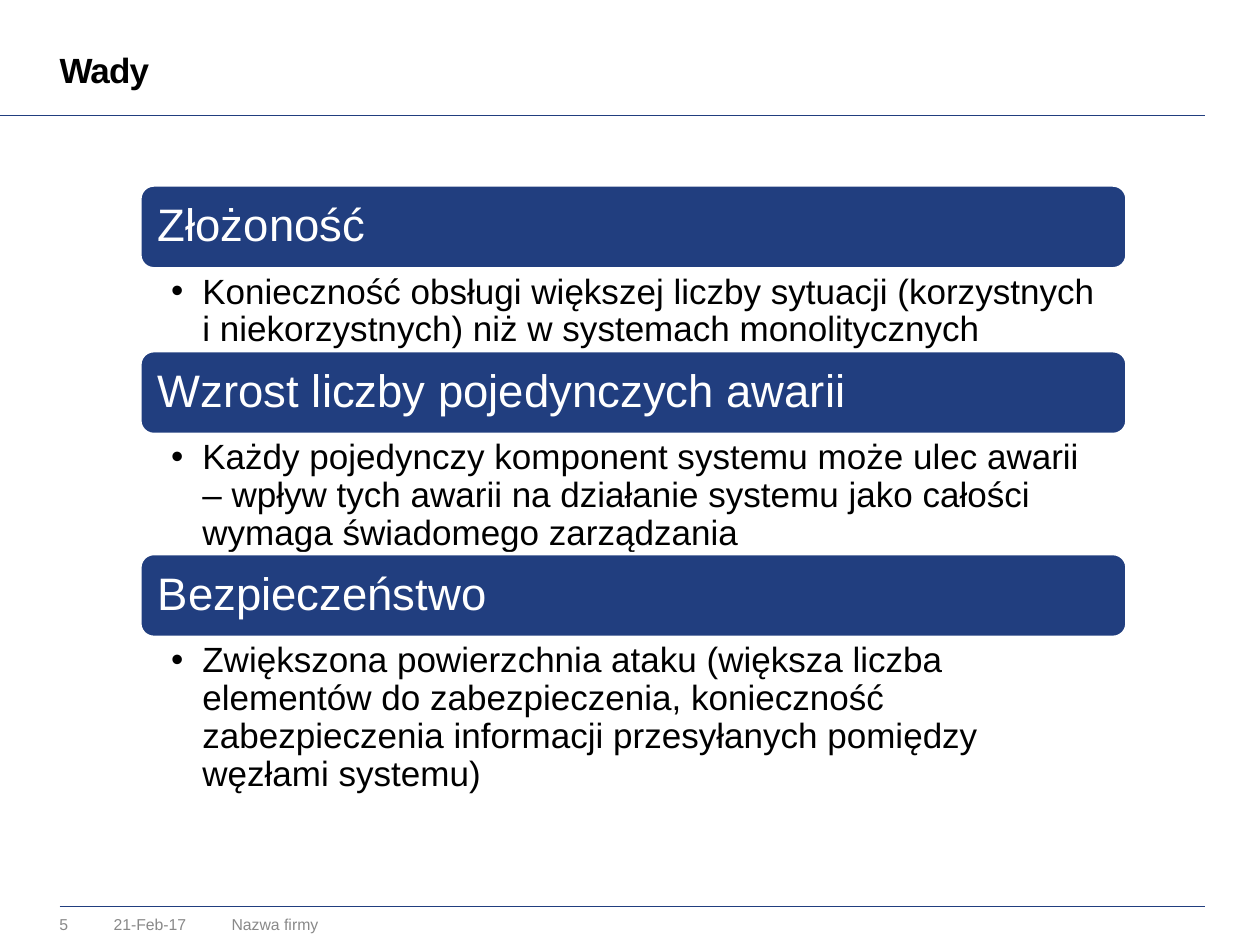
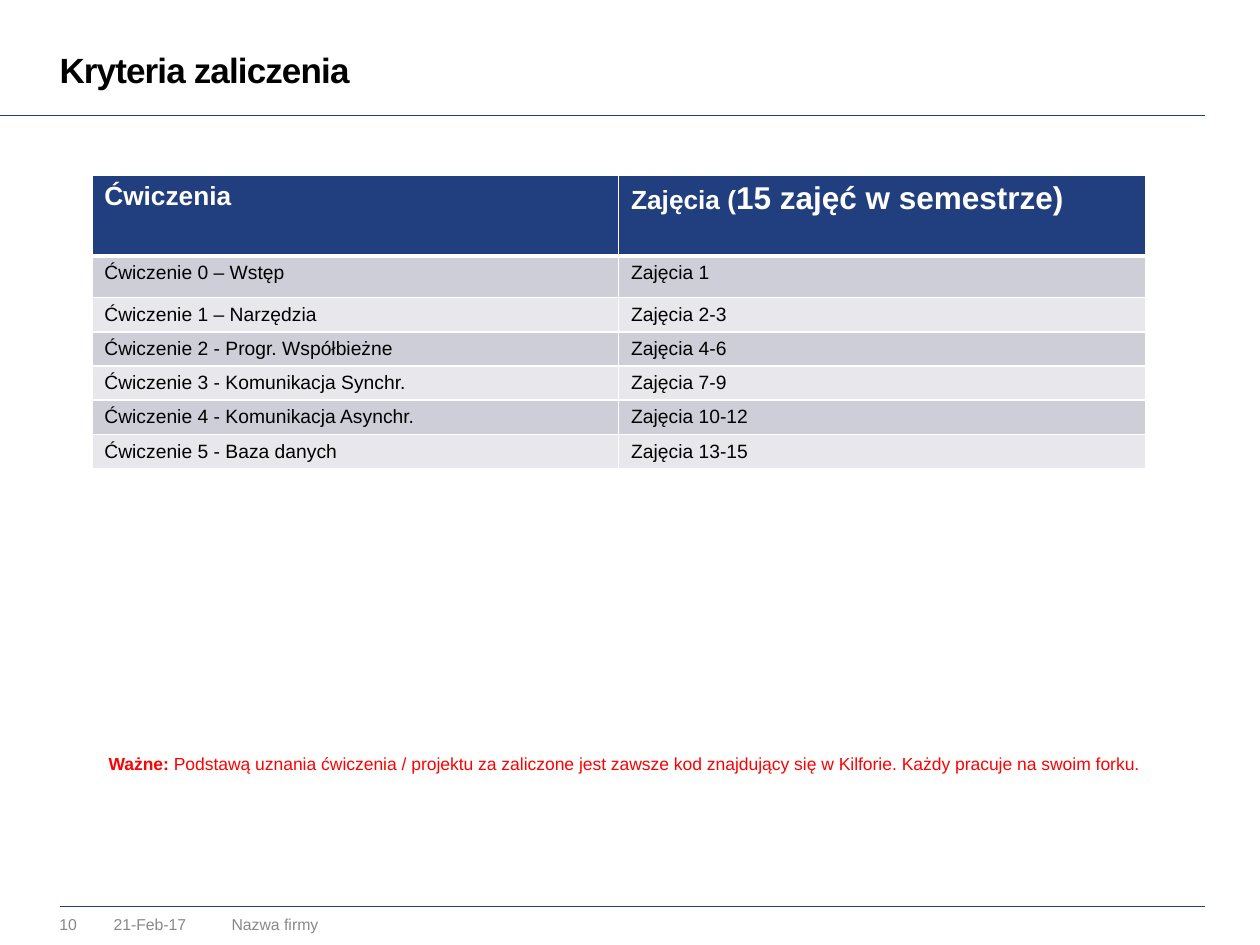
from lxml.etree import SubElement
from pptx import Presentation
from pptx.dml.color import RGBColor
from pptx.enum.shapes import MSO_CONNECTOR, MSO_SHAPE
from pptx.enum.text import MSO_ANCHOR, MSO_AUTO_SIZE, PP_ALIGN
from pptx.oxml.ns import qn
from pptx.util import Cm, Pt

NAVY = RGBColor(0x21, 0x3E, 0x7F)
WHITE = RGBColor(0xFF, 0xFF, 0xFF)
BLACK = RGBColor(0x00, 0x00, 0x00)
GREY = RGBColor(0x89, 0x89, 0x89)
RED = RGBColor(0xFF, 0x00, 0x00)
BAND_COLORS = (RGBColor(0xCD, 0xCE, 0xD8), RGBColor(0xE8, 0xE8, 0xEC))
FONT = "Arial"

DATE = "21-Feb-17"
COMPANY = "Nazwa firmy"

# heading, explanation, number of text lines in the explanation
DRAWBACKS = [
    ("Złożoność",
     "Konieczność obsługi większej liczby sytuacji (korzystnych i "
     "niekorzystnych) niż w systemach monolitycznych", 2),
    ("Wzrost liczby pojedynczych awarii",
     "Każdy pojedynczy komponent systemu może ulec awarii – wpływ tych awarii "
     "na działanie systemu jako całości wymaga świadomego zarządzania", 3),
    ("Bezpieczeństwo",
     "Zwiększona powierzchnia ataku (większa liczba elementów do "
     "zabezpieczenia, konieczność zabezpieczenia informacji przesyłanych "
     "pomiędzy węzłami systemu)", 4),
]

# each header cell is a list of (text, size)
SCHEDULE_HEADER = [
    [("Ćwiczenia", 15)],
    [("Zajęcia (", 15), ("15 zajęć w semestrze)", 18)],
]
SCHEDULE = [
    ("Ćwiczenie 0 – Wstęp", "Zajęcia 1"),
    ("Ćwiczenie 1 – Narzędzia", "Zajęcia 2-3"),
    ("Ćwiczenie 2 - Progr. Współbieżne", "Zajęcia 4-6"),
    ("Ćwiczenie 3 - Komunikacja Synchr.", "Zajęcia 7-9"),
    ("Ćwiczenie 4 - Komunikacja Asynchr.", "Zajęcia 10-12"),
    ("Ćwiczenie 5 - Baza danych", "Zajęcia 13-15"),
]
NOTE_LABEL = "Ważne:"
NOTE = (" Podstawą uznania ćwiczenia / projektu za zaliczone jest zawsze kod "
        "znajdujący się w Kilforie. Każdy pracuje na swoim forku.")


def style_run(run, size, color, bold=False):
    """Give a run its font, size, colour and weight."""
    run.font.name = FONT
    run.font.size = Pt(size)
    run.font.bold = bold
    run.font.color.rgb = color


def write_runs(paragraph, parts, color, bold=False):
    """Write (text, size) parts into a paragraph as runs."""
    for text, size in parts:
        run = paragraph.add_run()
        run.text = text
        style_run(run, size, color, bold)


def set_frame(frame, margins=(0, 0, 0, 0), anchor=MSO_ANCHOR.TOP):
    """Set the margins in cm (left, top, right, bottom), wrapping and anchor."""
    (frame.margin_left, frame.margin_top,
     frame.margin_right, frame.margin_bottom) = map(Cm, margins)
    frame.word_wrap = True
    frame.auto_size = MSO_AUTO_SIZE.NONE
    frame.vertical_anchor = anchor


def add_text(slide, box, parts, color, margins=(0, 0, 0, 0)):
    """Add a text box at box (cm) and return its paragraph."""
    frame = slide.shapes.add_textbox(*map(Cm, box)).text_frame
    set_frame(frame, margins)
    paragraph = frame.paragraphs[0]
    write_runs(paragraph, parts, color)
    return paragraph


def add_rule(slide, left, right, y):
    """Draw a thin horizontal line."""
    rule = slide.shapes.add_connector(
        MSO_CONNECTOR.STRAIGHT, Cm(left), Cm(y), Cm(right), Cm(y))
    rule.line.color.rgb = NAVY
    rule.line.width = Pt(0.25)
    SubElement(rule._element.spPr, qn("a:effectLst"))


def add_slide(deck, title_text, number):
    """Add a slide with its title, rules and footer."""
    slide = deck.slides.add_slide(deck.slide_layouts[5])
    add_rule(slide, 1.2, 24.3, 18.26)
    add_rule(slide, -0.05, 24.3, 2.33)

    title = slide.shapes.title
    title.left, title.top, title.width, title.height = map(
        Cm, (1.2, 1.12, 23.3, 0.9))
    title.text_frame.text = title_text
    set_frame(title.text_frame)
    paragraph = title.text_frame.paragraphs[0]
    paragraph.alignment = PP_ALIGN.LEFT
    paragraph.line_spacing = Pt(20)
    style_run(paragraph.runs[0], 20, BLACK, bold=True)
    paragraph.runs[0]._r.get_or_add_rPr().set("spc", "-50")

    for left, width, text in ((1.2, 1, str(number)), (2.29, 2.2, DATE),
                              (4.67, 12.1, COMPANY)):
        add_text(slide, (left, 18.44, width, 0.4), [(text, 9)], GREY)
    return slide


def add_bullet(paragraph, indent):
    """Give a paragraph a hanging round bullet."""
    properties = paragraph._p.get_or_add_pPr()
    properties.set("marL", str(Cm(indent)))
    properties.set("indent", str(-Cm(indent)))
    SubElement(properties, qn("a:buFont"), typeface=FONT)
    SubElement(properties, qn("a:buChar"), char="•")


def add_drawbacks(slide):
    """Stack the headings, each followed by its explanation."""
    left, top, width, heading_height = 2.82, 3.73, 19.9, 1.69
    for heading, explanation, line_count in DRAWBACKS:
        bar = slide.shapes.add_shape(
            MSO_SHAPE.ROUNDED_RECTANGLE,
            *map(Cm, (left, top, width, heading_height)))
        bar.shadow.inherit = False
        bar.fill.solid()
        bar.fill.fore_color.rgb = NAVY
        bar.line.color.rgb = WHITE
        bar.line.width = Pt(2)
        set_frame(bar.text_frame, (0.28,) * 4, MSO_ANCHOR.MIDDLE)
        paragraph = bar.text_frame.paragraphs[0]
        paragraph.alignment = PP_ALIGN.LEFT
        paragraph.line_spacing = 0.9
        write_runs(paragraph, [(heading, 26)], WHITE)
        top += heading_height

        body_height = 0.15 + 0.75 * line_count
        paragraph = add_text(slide, (left, top, width, body_height),
                             [(explanation, 20)], BLACK, (0.63, 0.1, 0.5, 0.1))
        paragraph.line_spacing = 0.9
        add_bullet(paragraph, 0.63)
        top += body_height


def format_cell(cell, fill, top=1, bottom=1):
    """Set a cell's white borders (widths in points) and its fill."""
    properties = cell._tc.get_or_add_tcPr()
    for side, width in (("L", 1), ("R", 1), ("T", top), ("B", bottom)):
        border = SubElement(properties, qn("a:ln" + side), w=str(Pt(width)))
        color = SubElement(border, qn("a:solidFill"))
        SubElement(color, qn("a:srgbClr"), val=str(WHITE))
    cell.fill.solid()
    cell.fill.fore_color.rgb = fill


def add_schedule(slide):
    """Add the table of exercises and classes."""
    heights = [1.63, 0.84] + [0.69] * (len(SCHEDULE) - 1)
    table = slide.shapes.add_table(
        len(heights), 2, Cm(1.85), Cm(3.53), Cm(21.24), Cm(sum(heights))).table
    for row, height in zip(table.rows, heights):
        row.height = Cm(height)
    for column, parts in enumerate(SCHEDULE_HEADER):
        cell = table.cell(0, column)
        write_runs(cell.text_frame.paragraphs[0], parts, WHITE, bold=True)
        format_cell(cell, NAVY, bottom=3)
    for index, texts in enumerate(SCHEDULE):
        for column, text in enumerate(texts):
            cell = table.cell(index + 1, column)
            write_runs(cell.text_frame.paragraphs[0], [(text, 11)], BLACK)
            format_cell(cell, BAND_COLORS[index % 2], top=1 if index else 3)


def add_note(slide):
    """Add the red remark below the schedule."""
    paragraph = add_text(slide, (2.19, 15.19, 21.4, 0.43),
                         [(NOTE_LABEL, 10), (NOTE, 10)], RED)
    paragraph.space_before = paragraph.space_after = Pt(1)
    paragraph.runs[0].font.bold = True


deck = Presentation()
deck.slide_width, deck.slide_height = Cm(25.4), Cm(19.05)

add_drawbacks(add_slide(deck, "Wady", 5))

criteria = add_slide(deck, "Kryteria zaliczenia", 10)
add_schedule(criteria)
add_note(criteria)

deck.save("out.pptx")
